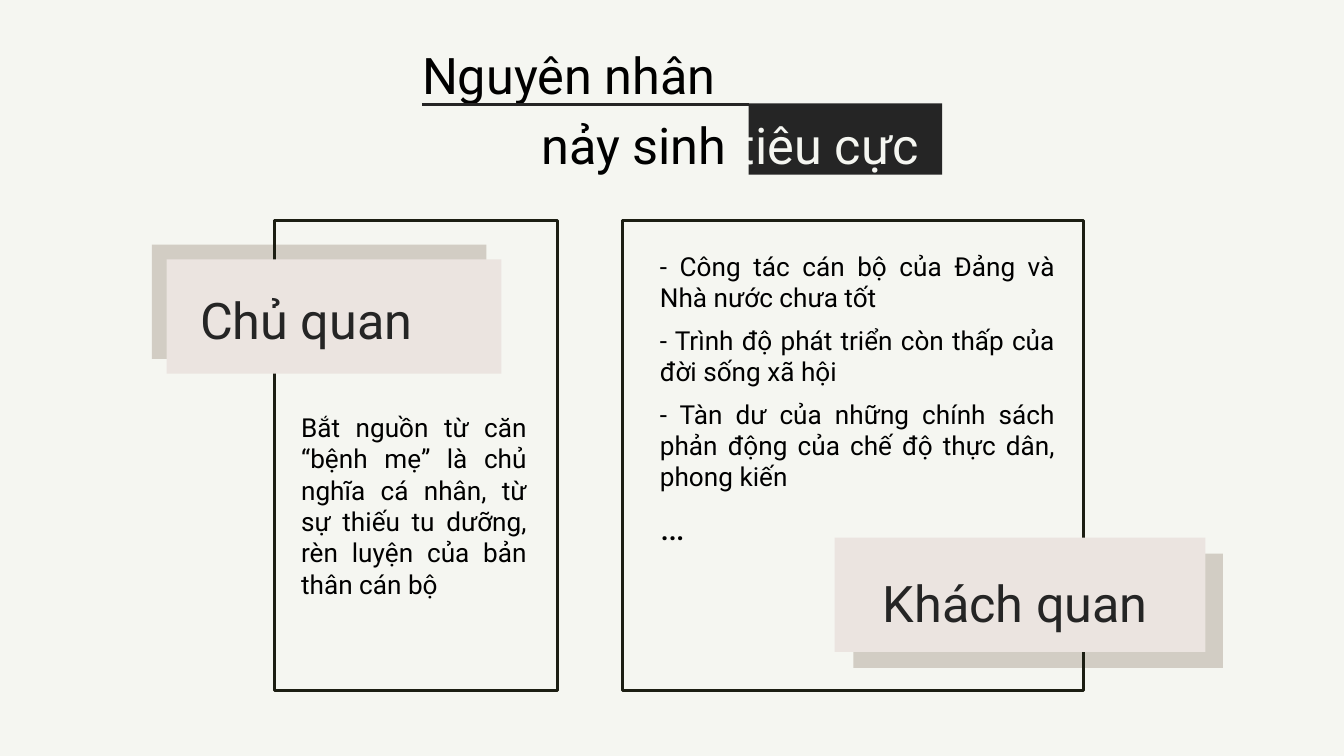
from dataclasses import dataclass

from pptx import Presentation
from pptx.dml.color import RGBColor
from pptx.enum.shapes import MSO_CONNECTOR, MSO_SHAPE
from pptx.enum.text import MSO_ANCHOR, MSO_AUTO_SIZE, PP_ALIGN
from pptx.oxml.ns import qn
from pptx.util import Inches, Pt
from lxml.etree import SubElement


@dataclass(frozen=True)
class Theme:
    font: str = "Roboto"
    paper: str = "F5F6F1"
    ink: str = "252525"
    black: str = "000000"
    frame: str = "1C1E13"
    label: str = "EBE4E0"
    shade: str = "C7C0B5"
    heading: int = 27
    body: int = 14
    dots: int = 20
    line: float = 1.5


THEME = Theme()


def rgb(value):
    return RGBColor.from_string(value)


def add_text(p, text, size=THEME.body, color=THEME.black, align=PP_ALIGN.LEFT, after=0):
    """Add a run to a paragraph and format both."""
    p.alignment = align
    p.line_spacing = 1.0
    p.space_before, p.space_after = Pt(0), Pt(after)
    r = p.add_run()
    r.text = text
    r.font.name, r.font.size = THEME.font, Pt(size)
    r.font.color.rgb = rgb(color)
    return r


class SlideBuilder:
    def __init__(self, prs, theme):
        self.theme = theme
        self.s = prs.slides.add_slide(prs.slide_layouts[3])
        self.s.background.fill.solid()
        self.s.background.fill.fore_color.rgb = rgb(theme.paper)

    def place(self, sp, x, y, w, h):
        """Position a text holder and return its cleaned text frame."""
        sp.left, sp.top, sp.width, sp.height = map(Inches, (x, y, w, h))
        tf = sp.text_frame
        tf.word_wrap = True
        tf.auto_size = MSO_AUTO_SIZE.NONE
        tf.vertical_anchor = MSO_ANCHOR.TOP
        return tf

    def title(self, text, *box):
        tf = self.place(self.s.shapes.title, *box)
        add_text(tf.paragraphs[0], text, self.theme.heading)

    def body(self, idx, items, *box, after=0):
        """Fill a body placeholder with justified (text, size) paragraphs."""
        tf = self.place(self.s.placeholders[idx], *box)
        for i, (text, size) in enumerate(items):
            p = tf.add_paragraph() if i else tf.paragraphs[0]
            add_text(p, text, size, align=PP_ALIGN.JUSTIFY, after=after)
            pPr = p._p.get_or_add_pPr()
            pPr.set("marL", "0")
            pPr.set("indent", "0")
            SubElement(pPr, qn("a:buNone"))

    def text(self, runs, *box):
        """Add a one-line heading made of (text, colour) runs."""
        tf = self.place(self.s.shapes.add_textbox(0, 0, 0, 0), *box)
        for text, color in runs:
            add_text(tf.paragraphs[0], text, self.theme.heading, color)

    def rect(self, x, y, w, h, fill=None, line=None, alpha=None):
        sp = self.s.shapes.add_shape(MSO_SHAPE.RECTANGLE, *map(Inches, (x, y, w, h)))
        sp.shadow.inherit = False
        if fill:
            sp.fill.solid()
            sp.fill.fore_color.rgb = rgb(fill)
        else:
            sp.fill.background()
        if alpha:
            clr = sp._element.spPr.find(qn("a:solidFill"))[0]
            SubElement(clr, qn("a:alpha"), val=str(alpha * 1000))
        if line:
            sp.line.color.rgb = rgb(line)
            sp.line.width = Pt(self.theme.line)
        else:
            sp.line.fill.background()
        return sp

    def rule(self, x1, y1, x2, y2):
        cn = self.s.shapes.add_connector(
            MSO_CONNECTOR.STRAIGHT, *map(Inches, (x1, y1, x2, y2)))
        cn.line.color.rgb = rgb(self.theme.ink)
        cn.line.width = Pt(self.theme.line)
        SubElement(cn._element.spPr, qn("a:effectLst"))


def main():
    prs = Presentation()
    prs.slide_width = Inches(10)
    prs.slide_height = prs.slide_width * 9 // 16
    t = THEME
    b = SlideBuilder(prs, t)

    # Heading: first line, rule, dark block and second line
    b.title("Nguyên nhân", 3.04, 0.28, 5.03, 1.01)
    b.rect(5.57, 0.77, 1.44, 0.53, fill=t.ink)
    b.text([("nảy sinh ", t.black), ("tiêu cực", t.paper)], 3.93, 0.8, 3.14, 0.56)
    b.rule(3.14, 0.78, 5.57, 0.78)

    # Each column: frame (x, w), shade and label (x, y, w), label text (x, y)
    columns = [
        ("Chủ quan", (2.04, 2.11), (1.13, 1.82, 2.49), (1.24, 1.93, 2.49), (1.39, 2.1)),
        ("Khách quan", (4.63, 3.43), (6.35, 4.12, 2.75), (6.21, 4, 2.76), (6.47, 4.21)),
    ]
    for name, (x, w), shade, label, spot in columns:
        b.rect(*shade, 0.85, fill=t.shade, alpha=74)
        b.rect(x, 1.64, w, 3.5, line=t.frame)
        b.rect(*label, 0.85, fill=t.label)
        b.text([(name, t.ink)], *spot, 2.4, 0.56)

    # Causes
    b.body(1, [("Bắt nguồn từ căn “bệnh mẹ” là chủ nghĩa cá nhân, từ sự thiếu "
                "tu dưỡng, rèn luyện của bản thân cán bộ", t.body)],
           2.14, 3.01, 1.88, 1.51)
    b.body(2, [
        ("- Công tác cán bộ của Đảng và Nhà nước chưa tốt", t.body),
        ("- Trình độ phát triển còn thấp của đời sống xã hội", t.body),
        ("- Tàn dư của những chính sách phản động của chế độ thực dân, phong kiến",
         t.body),
        ("…", t.dots),
    ], 4.81, 1.81, 3.14, 2.34, after=6)

    prs.save("out.pptx")


if __name__ == "__main__":
    main()
